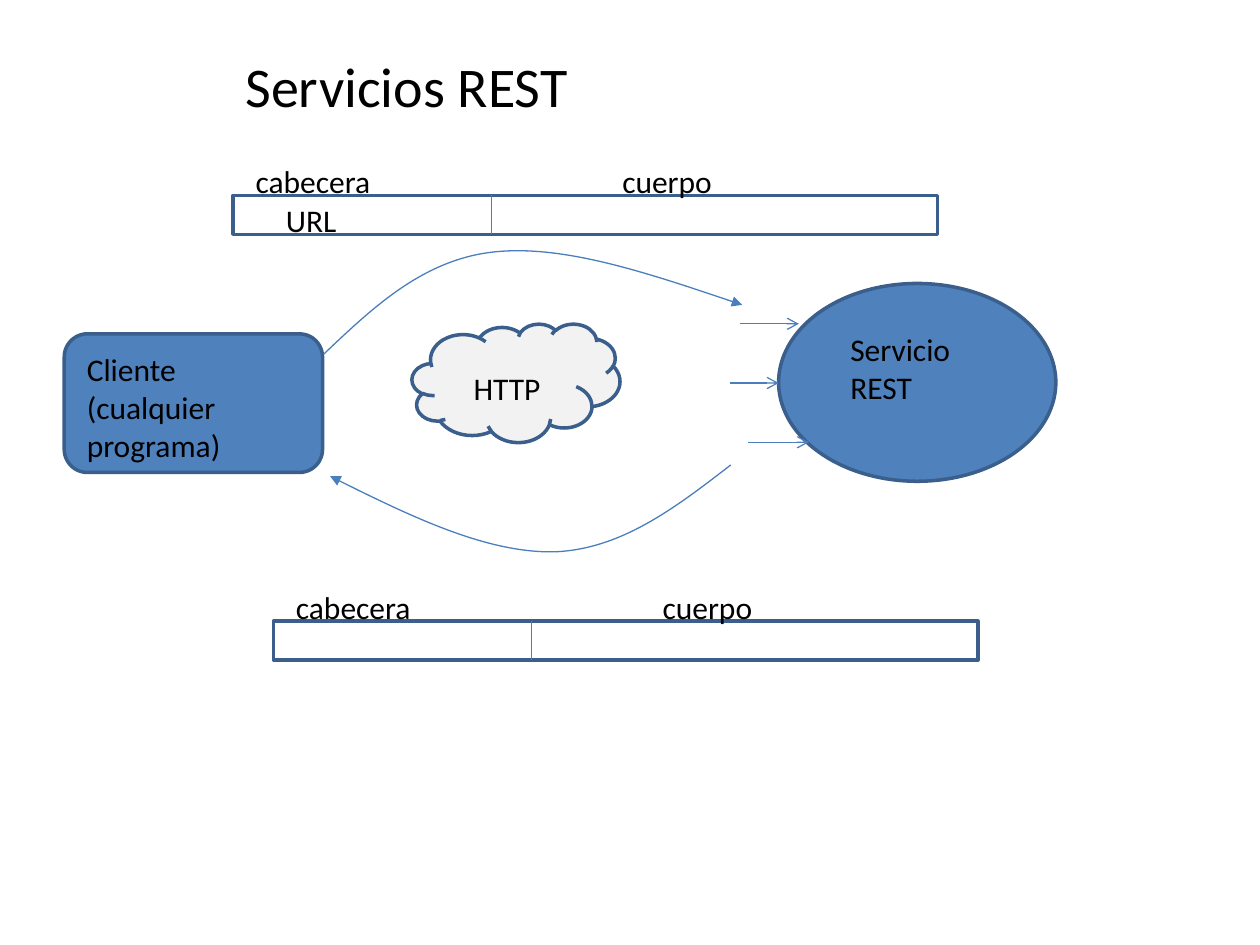
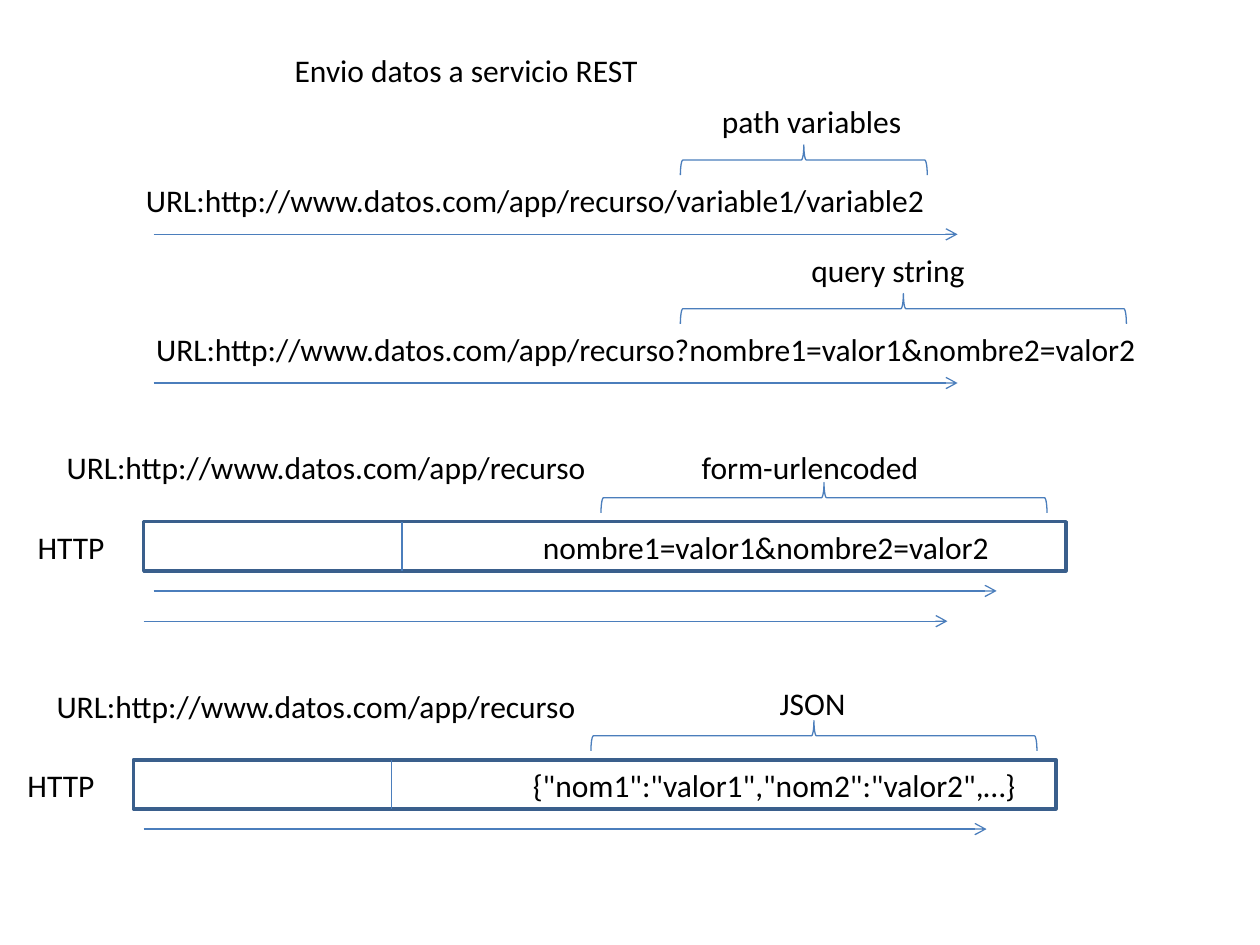
"""Build two slides on REST services and the ways of sending data to them."""
import dataclasses

import lxml.etree
import pptx
import pptx.dml.color
import pptx.enum.shapes
import pptx.enum.text
import pptx.oxml.ns
import pptx.util

PX = 9144
SHAPES = pptx.enum.shapes.MSO_SHAPE


@dataclasses.dataclass(frozen=True)
class Theme:
    font: str = "Calibri"
    text: str = "000000"
    accent: str = "4F81BD"
    outline: str = "3A5F8C"
    connector: str = "4B7EBC"
    cloud: str = "F2F2F2"
    title_size: int = 32
    body_size: int = 18
    outline_width: float = 2
    connector_width: float = 0.75


class Sketch:
    def __init__(self, presentation, theme):
        self.presentation = presentation
        self.theme = theme
        self.slide = None

    def new_slide(self):
        self.slide = self.presentation.slides.add_slide(self.presentation.slide_layouts[6])

    def paint_line(self, shape, color, width, head=None):
        shape.line.color.rgb = pptx.dml.color.RGBColor.from_string(color)
        shape.line.width = pptx.util.Pt(width)
        if head:
            outline = shape.line.fill and shape.element.spPr.find(pptx.oxml.ns.qn("a:ln"))
            lxml.etree.SubElement(outline, pptx.oxml.ns.qn("a:tailEnd"), type=head)

    def text(self, left, top, width, content, size=None, height=40, wrap=True):
        box = self.slide.shapes.add_textbox(left * PX, top * PX, width * PX, height * PX)
        frame = box.text_frame
        frame.word_wrap = wrap
        frame.auto_size = pptx.enum.text.MSO_AUTO_SIZE.SHAPE_TO_FIT_TEXT
        run = frame.paragraphs[0].add_run()
        run.text = content
        run.font.name = self.theme.font
        run.font.size = pptx.util.Pt(size or self.theme.body_size)
        run.font.color.rgb = pptx.dml.color.RGBColor.from_string(self.theme.text)

    def shape(self, kind, left, top, width, height, fill=None):
        shape = self.slide.shapes.add_shape(kind, left * PX, top * PX, width * PX, height * PX)
        shape.shadow.inherit = False
        if fill:
            shape.fill.solid()
            shape.fill.fore_color.rgb = pptx.dml.color.RGBColor.from_string(fill)
        else:
            shape.fill.background()
        self.paint_line(shape, self.theme.outline, self.theme.outline_width)
        return shape

    def line(self, left, top, right, bottom, head=None):
        connector = self.slide.shapes.add_connector(
            pptx.enum.shapes.MSO_CONNECTOR.STRAIGHT, left * PX, top * PX, right * PX, bottom * PX)
        self.paint_line(connector, self.theme.connector, self.theme.connector_width, head)
        lxml.etree.SubElement(connector.element.spPr, pptx.oxml.ns.qn("a:effectLst"))

    def arrow(self, left, right, top):
        self.line(left, top, right, top, "arrow")

    def curve(self, start, *points):
        builder = self.slide.shapes.build_freeform(*start, scale=PX)
        builder.add_line_segments(points, close=False)
        shape = builder.convert_to_shape()
        shape.shadow.inherit = False
        shape.fill.background()
        self.paint_line(shape, self.theme.connector, self.theme.connector_width, "triangle")
        segments = list(shape.element.iter(pptx.oxml.ns.qn("a:lnTo")))
        for first in range(0, len(segments), 3):
            bezier = lxml.etree.Element(pptx.oxml.ns.qn("a:cubicBezTo"))
            segments[first].addprevious(bezier)
            for segment in segments[first:first + 3]:
                bezier.append(segment[0])
                segment.getparent().remove(segment)

    def brace(self, left, top, width, depth=24):
        shape = self.shape(SHAPES.RIGHT_BRACE, left + (width - depth) // 2,
                           top + (depth - width) // 2, depth, width)
        shape.rotation = 270
        self.paint_line(shape, self.theme.connector, self.theme.connector_width)

    def message(self, left, top, width, height):
        self.shape(SHAPES.RECTANGLE, left, top, width, height)
        self.line(left + 205, top, left + 205, top + height)

    def labelled_message(self, left, top):
        self.message(left, top, 559, 31)
        self.text(left + 8, top - 31, 213, "cabecera")
        self.text(left + 299, top - 31, 228, "cuerpo")

    def url_example(self, left, top, width, url, brace_width, label_left, label):
        self.text(left, top, width, url)
        self.arrow(122, 760, top + 47)
        self.brace(540, top - 24, brace_width)
        self.text(label_left, top - 63, 189, label)

    def body_example(self, left, top, body, body_width, label_left, label_top, label_width, label):
        self.message(left, top, 732, 39)
        self.arrow(left + 8, left + 677, top + 55)
        self.text(left - 94, top, 94, "HTTP")
        self.text(left - 71, top - 63, 441, "URL:http://www.datos.com/app/recurso")
        self.text(left + 307, top, body_width, body, wrap=False)
        self.brace(left + 363, top - 31, 354)
        self.text(label_left, label_top, label_width, label)


def draw_rest_services(sketch):
    theme = sketch.theme
    sketch.new_slide()
    sketch.text(185, 36, 354, "Servicios REST", theme.title_size, height=64)
    sketch.shape(SHAPES.OVAL, 618, 225, 220, 157, theme.accent)
    sketch.text(665, 257, 134, "Servicio REST", height=71)
    for left, right, top in ((587, 634, 257), (579, 618, 304), (594, 642, 351)):
        sketch.arrow(left, right, top)
    sketch.shape(SHAPES.CLOUD, 327, 257, 165, 94, theme.cloud)
    sketch.shape(SHAPES.ROUNDED_RECTANGLE, 51, 265, 205, 110, theme.accent)
    sketch.text(59, 273, 189, "Cliente (cualquier programa)", height=101)
    sketch.curve((257, 281), (296, 244), (336, 206), (392, 200),
                 (447, 194), (518, 218), (589, 242))
    sketch.curve((580, 369), (536, 403), (493, 436), (440, 438),
                 (387, 439), (324, 409), (262, 378))
    sketch.text(366, 288, 102, "HTTP")
    for left, top in ((185, 155), (217, 493)):
        sketch.labelled_message(left, top)
    sketch.text(217, 155, 118, "URL")


def draw_sending_data(sketch):
    sketch.new_slide()
    sketch.text(224, 36, 654, "Envio datos a servicio REST")
    sketch.url_example(106, 139, 787, "URL:http://www.datos.com/app/recurso/variable1/variable2",
                       196, 563, "path variables")
    sketch.url_example(114, 257, 835,
                       "URL:http://www.datos.com/app/recurso?nombre1=valor1&nombre2=valor2",
                       354, 634, "query string")
    sketch.body_example(114, 414, "nombre1=valor1&nombre2=valor2", 378,
                        547, 351, 362, "form-urlencoded")
    sketch.arrow(114, 752, 493)
    sketch.body_example(106, 603, '{"nom1":"valor1","nom2":"valor2",…}', 409,
                        609, 538, 94, "JSON")


def main():
    presentation = pptx.Presentation()
    presentation.slide_width = 1000 * PX
    presentation.slide_height = 750 * PX
    sketch = Sketch(presentation, Theme())
    draw_rest_services(sketch)
    draw_sending_data(sketch)
    presentation.save("out.pptx")


if __name__ == "__main__":
    main()
